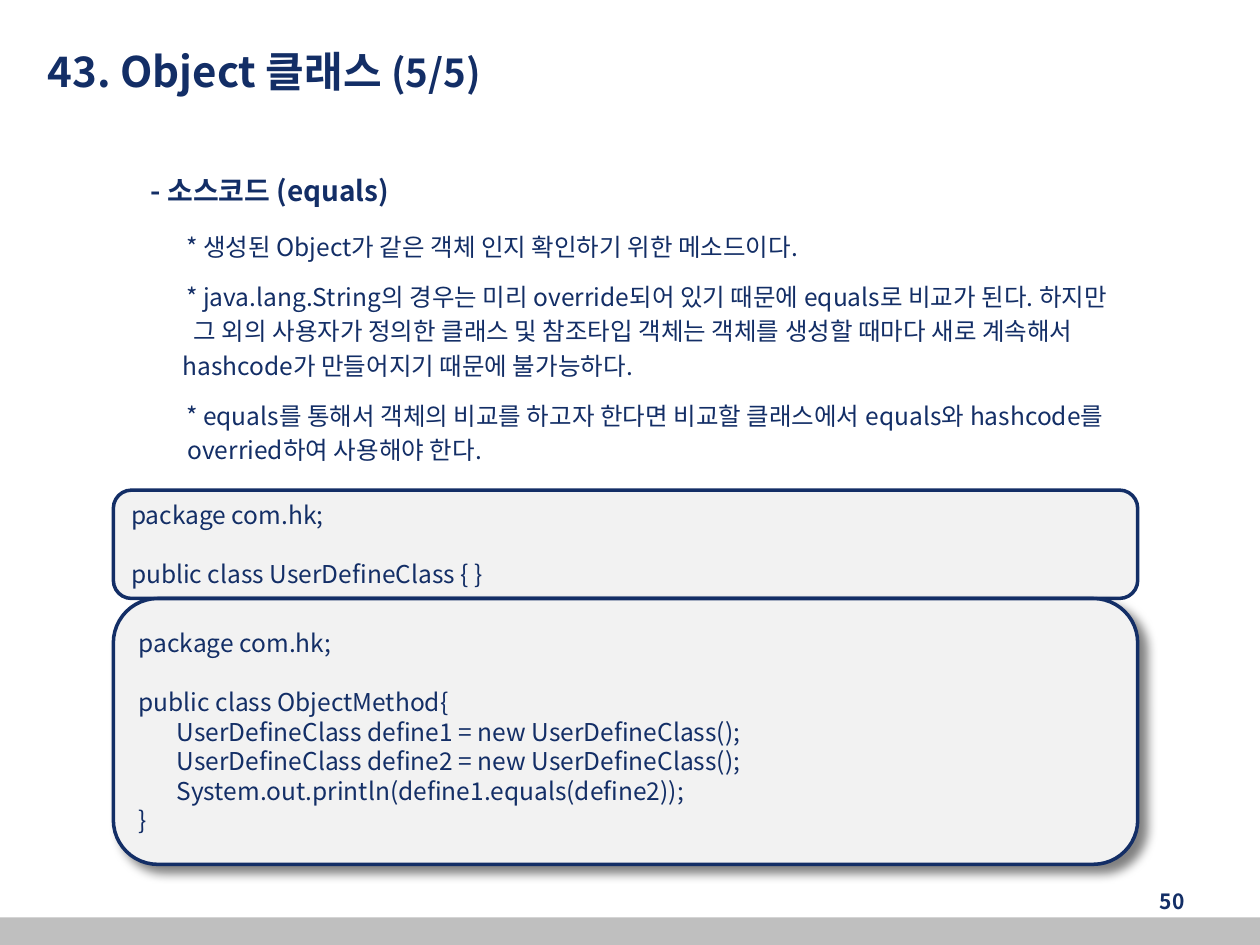
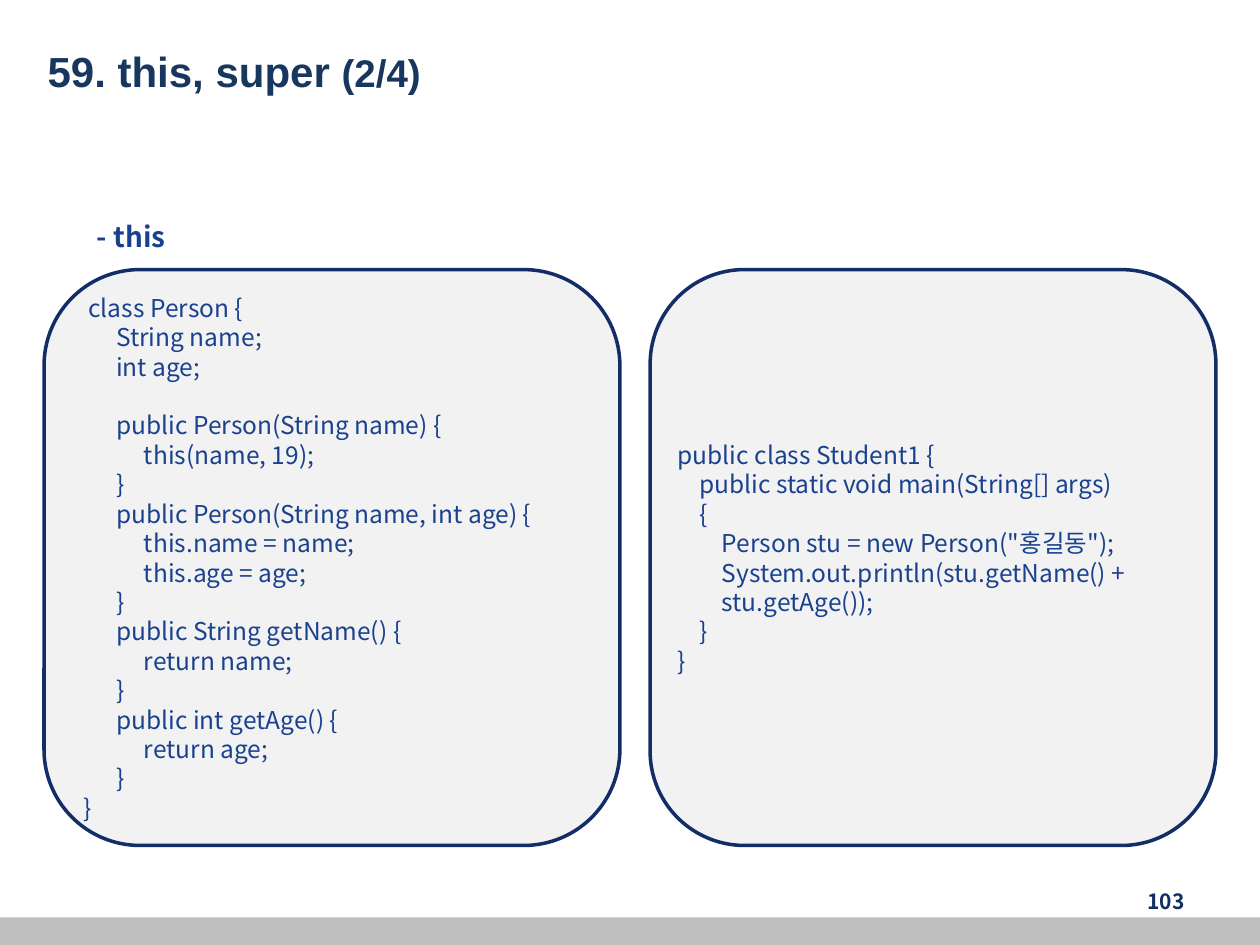
from lxml import etree
from pptx import Presentation
from pptx.dml.color import RGBColor
from pptx.enum.shapes import MSO_SHAPE as SHAPE
from pptx.enum.text import MSO_ANCHOR as ANCHOR, PP_ALIGN as ALIGN
from pptx.oxml.ns import qn
from pptx.util import Inches, Pt

NAVY, BLUE, SLATE = "132E66", "1A418E", "17375E"
PANEL, BAND = "F2F2F2", "BFBFBF"
KOREAN = "Noto Sans CJK KR"
LEADING = 1.2
CODE_SIZE = 14


def rgb(value):
    return RGBColor.from_string(value)


def style(p, size, color=NAVY, bold=False, font=KOREAN):
    p.font.size = Pt(size)
    p.font.bold = bold
    p.font.name = font
    p.font.color.rgb = rgb(color)
    props = p._p.pPr.find(qn("a:defRPr"))
    etree.SubElement(props, qn("a:ea")).set("typeface", KOREAN)


def set_lines(tf, lines):
    """Fill a frame with (text, size, colour, bold, left margin, space before)."""
    for i, (text, size, color, bold, left, before) in enumerate(lines):
        p = tf.paragraphs[0] if i == 0 else tf.add_paragraph()
        p.text = text
        p.alignment = ALIGN.LEFT
        p.line_spacing = Pt(LEADING * size)
        p.space_before = Pt(before)
        style(p, size, color, bold)
        p._p.pPr.set("marL", str(Inches(left)))
        p._p.pPr.set("indent", "0")


def add_text(slide, box, anchor=ANCHOR.TOP):
    tf = slide.shapes.add_textbox(*map(Inches, box)).text_frame
    tf.word_wrap = True
    tf.vertical_anchor = anchor
    return tf


def add_panel(slide, kind, box, fill, line=None):
    sp = slide.shapes.add_shape(kind, *map(Inches, box))
    sp.shadow.inherit = False
    sp.fill.solid()
    sp.fill.fore_color.rgb = rgb(fill)
    if line:
        sp.line.color.rgb = rgb(line)
        sp.line.width = Pt(2)
    else:
        sp.line.fill.background()
    return sp


def add_shadow(sp):
    effects = sp._element.spPr.find(qn("a:effectLst"))
    shadow = etree.SubElement(effects, qn("a:outerShdw"), blurRad=str(Pt(6)),
                              dist=str(Pt(6)), dir=str(45 * 60000),
                              algn="tl", rotWithShape="0")
    color = etree.SubElement(shadow, qn("a:srgbClr"), val="000000")
    etree.SubElement(color, qn("a:alpha"), val="50000")


def add_code(slide, box, code, margins=(0,), color=NAVY, inset=0.1):
    """Draw a code panel; code holds (level, text), None leaves a line free."""
    sp = add_panel(slide, SHAPE.ROUNDED_RECTANGLE, box, PANEL, NAVY)
    tf = sp.text_frame
    tf.word_wrap = True
    tf.vertical_anchor = ANCHOR.MIDDLE
    tf.margin_left = tf.margin_right = Inches(inset)
    lines, before = [], 0
    for entry in code:
        if entry is None:
            before = LEADING * CODE_SIZE
            continue
        level, text = entry
        lines.append((text, CODE_SIZE, color, False, margins[level], before))
        before = 0
    set_lines(tf, lines)
    return sp


def add_frame(prs, title, part, number, color=NAVY, font=KOREAN):
    """Add a slide with the shared title, footer band and page number."""
    slide = prs.slides.add_slide(prs.slide_layouts[6])
    add_panel(slide, SHAPE.RECTANGLE, (0, 7.28, 10, 0.22), BAND)

    p = add_text(slide, (7.17, 6.95, 2.33, 0.4), ANCHOR.MIDDLE).paragraphs[0]
    p.text = str(number)
    p.alignment = ALIGN.RIGHT
    style(p, 12, bold=True)

    p = add_text(slide, (0.28, 0.13, 7.76, 0.87), ANCHOR.MIDDLE).paragraphs[0]
    style(p, 24, color, True, font)
    p.add_run().text = title + " "
    r = p.add_run()
    r.text = part
    r.font.size = Pt(22)
    return slide


def add_equals_notes(slide, box):
    notes = [
        ("* 생성된 Object가 같은 객체 인지 확인하기 위한 메소드이다.", 0.38, 14),
        ("* java.lang.String의 경우는 미리 override되어 있기 때문에 equals로 비교가 된다. 하지만",
         0.38, 11.8),
        ("그 외의 사용자가 정의한 클래스 및 참조타입 객체는 객체를 생성할 때마다 새로 계속해서",
         0.44, 2.8),
        ("hashcode가 만들어지기 때문에 불가능하다.", 0.35, 2.8),
        ("* equals를 통해서 객체의 비교를 하고자 한다면 비교할 클래스에서 equals와 hashcode를",
         0.38, 11.8),
        ("overried하여 사용해야 한다.", 0.39, 2.8),
    ]
    lines = [("- 소스코드 (equals)", 16, NAVY, True, 0.1, 0)]
    lines += [(text, 14, NAVY, False, left, before) for text, left, before in notes]
    set_lines(add_text(slide, box), lines)


def object_slide(prs):
    slide = add_frame(prs, "43. Object 클래스", "(5/5)", 50)
    add_equals_notes(slide, (1, 1.33, 9, 2.5))
    add_code(slide, (0.9, 3.89, 8.13, 0.86), [
        (0, "package com.hk;"),
        None,
        (0, "public class UserDefineClass { }"),
    ])
    main_panel = add_code(slide, (0.9, 4.75, 8.13, 2.11), [
        (0, "package com.hk;"),
        None,
        (0, "public class ObjectMethod{"),
        (1, "UserDefineClass define1 = new UserDefineClass();"),
        (1, "UserDefineClass define2 = new UserDefineClass();"),
        (1, "System.out.println(define1.equals(define2));"),
        (0, "}"),
    ], margins=(0, 0.3))
    add_shadow(main_panel)


def this_slide(prs):
    slide = add_frame(prs, "59. this, super", "(2/4)", 103, SLATE, "Arial")
    set_lines(add_text(slide, (0.67, 1.69, 1.26, 0.37)),
              [("- this", 16, BLUE, True, 0, 0)])
    add_code(slide, (0.35, 2.14, 4.57, 4.57), [
        (1, "class Person {"),
        (2, "String name;"),
        (2, "int age;"),
        None,
        (2, "public Person(String name) {"),
        (3, "this(name, 19);"),
        (2, "}"),
        (2, "public Person(String name, int age) {"),
        (3, "this.name = name;"),
        (3, "this.age = age;"),
        (2, "}"),
        (2, "public String getName() {"),
        (3, "return name;"),
        (2, "}"),
        (2, "public int getAge() {"),
        (3, "return age;"),
        (2, "}"),
        (0, "}"),
    ], (0.09, 0.13, 0.35, 0.57), BLUE, 0)
    add_code(slide, (5.16, 2.14, 4.49, 4.57), [
        (0, "public class Student1 {"),
        (1, "public static void main(String[] args)"),
        (1, "{"),
        (2, 'Person stu = new Person("홍길동");'),
        (2, "System.out.println(stu.getName() +"),
        (2, "stu.getAge());"),
        (1, "}"),
        (0, "}"),
    ], (0, 0.17, 0.35), BLUE, 0)


def main():
    prs = Presentation()
    prs.slide_width, prs.slide_height = Inches(10), Inches(7.5)
    object_slide(prs)
    this_slide(prs)
    prs.save("out.pptx")


if __name__ == "__main__":
    main()
